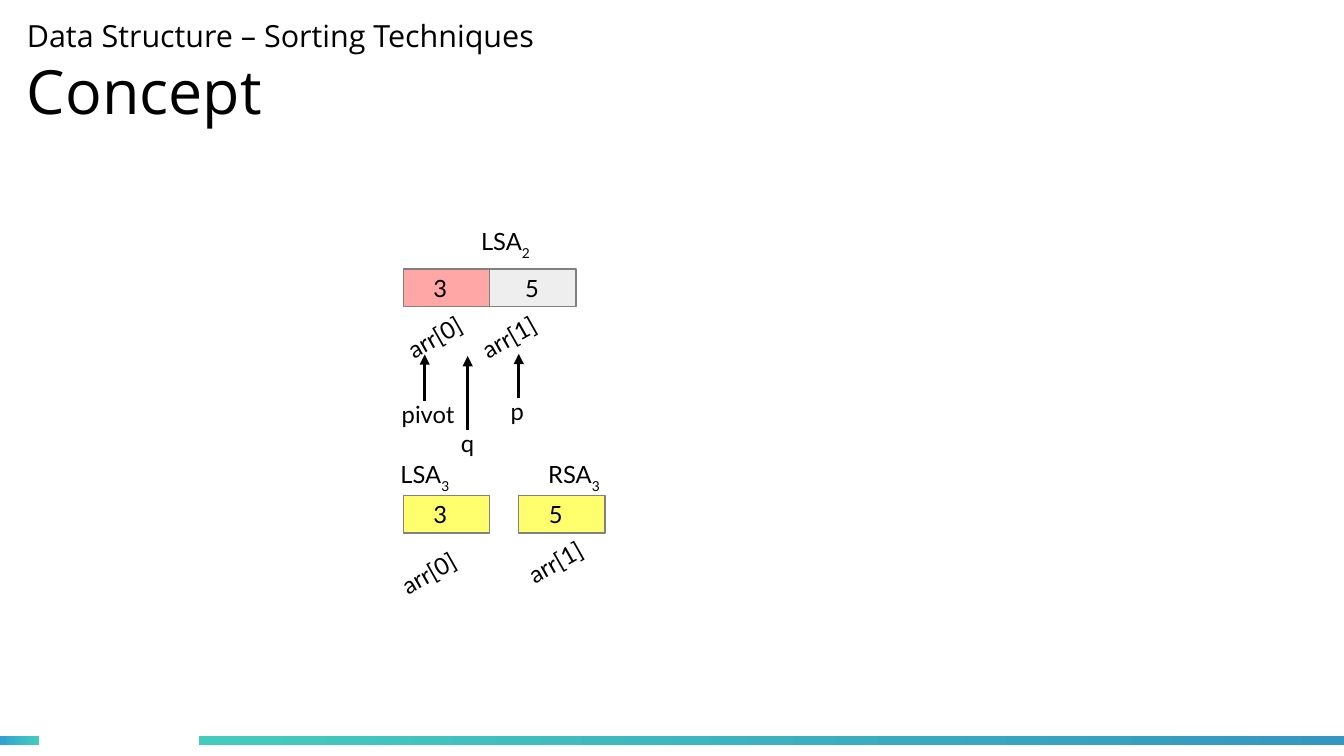
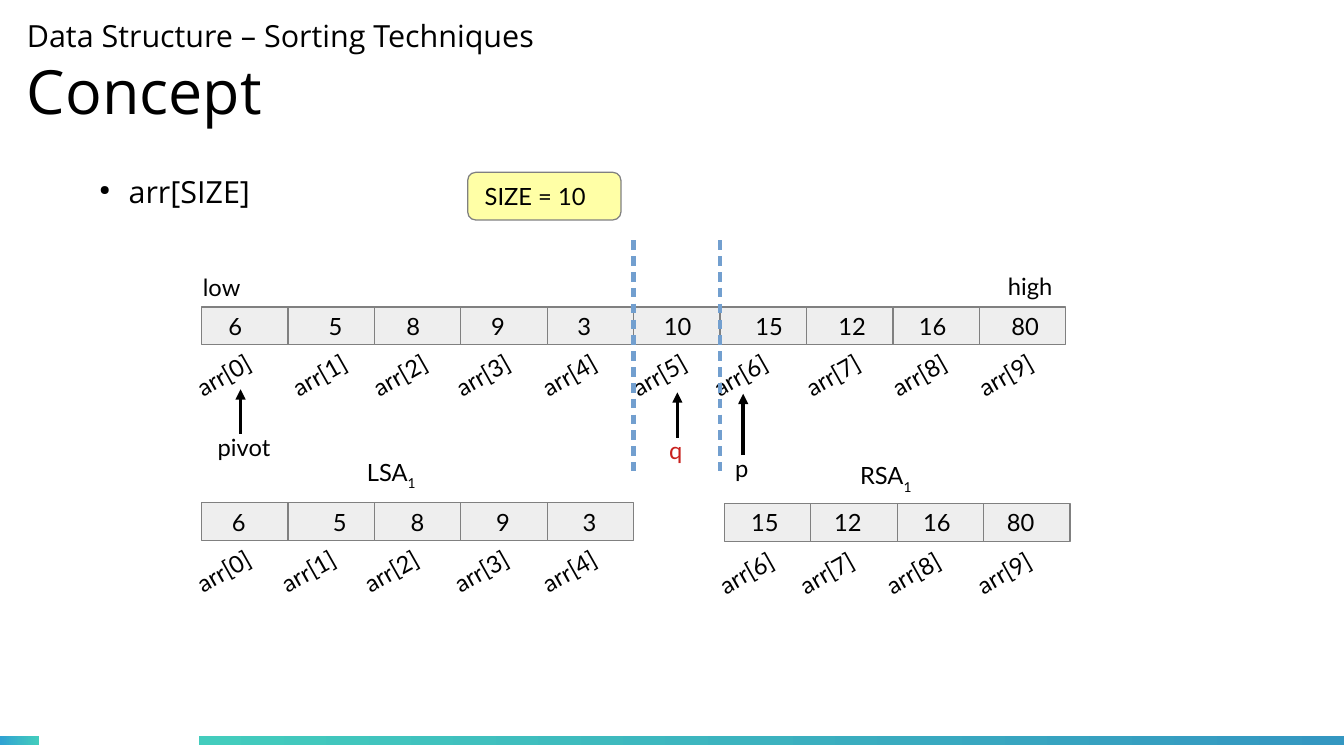
from lxml.etree import SubElement
from pptx import Presentation
from pptx.dml.color import RGBColor
from pptx.enum.shapes import MSO_CONNECTOR as Connector, MSO_SHAPE as Shape
from pptx.enum.text import MSO_ANCHOR as Anchor
from pptx.oxml.ns import qn
from pptx.util import Inches, Pt

BLACK = RGBColor(0x00, 0x00, 0x00)
RED = RGBColor(0xC9, 0x21, 0x1E)
GREY_LINE = RGBColor(0x80, 0x80, 0x80)
GREY = RGBColor(0xEE, 0xEE, 0xEE)
PINK = RGBColor(0xFF, 0xA6, 0xA6)
YELLOW = RGBColor(0xFF, 0xFF, 0x6D)
PALE_YELLOW = RGBColor(0xFF, 0xFF, 0xA6)
DASH_BLUE = RGBColor(0x72, 0x9F, 0xCF)
TEAL = RGBColor(0x43, 0xCC, 0xBD)
SKY = RGBColor(0x30, 0xA2, 0xD2)
BLUE = RGBColor(0x34, 0x97, 0xC1)

presentation = Presentation()
presentation.slide_width, presentation.slide_height = Inches(11.02), Inches(6.2)

# Places are percentages of the slide; array cells form a grid of equal columns
X = presentation.slide_width / 100
Y = presentation.slide_height / 100
CELL_WIDTH, CELL_HEIGHT = 6.43, 5
INDEX_WIDTH, INDEX_HEIGHT = 7.1, 6.3
INDEX_ROTATION = 330.4

BODY = {"name": "Lato", "size": Pt(14)}
BULLET = {"name": "Open Sans", "size": Pt(18)}
HEADING = {"name": "Open Sans", "size": Pt(36)}
TEXT_BOX = {"margin_left": Inches(0.1), "margin_right": Inches(0.1),
            "margin_top": Inches(0.05), "margin_bottom": Inches(0.05),
            "vertical_anchor": Anchor.TOP, "word_wrap": True}
TIGHT = {"margin_left": 0, "margin_right": 0, "margin_top": 0, "margin_bottom": 0,
         "vertical_anchor": Anchor.MIDDLE, "word_wrap": True}


def add_box(slide, place, runs, fill=None, kind=Shape.RECTANGLE, frame=TEXT_BOX, colour=BLACK):
    """Add a box at a percentage place, holding (text, font format) runs."""
    left, top, width, height = place
    area = [int(left * X), int(top * Y), int(width * X), int(height * Y)]
    if fill is None:
        shape = slide.shapes.add_textbox(*area)
    else:
        shape = slide.shapes.add_shape(kind, *area)
        shape.shadow.inherit = False
        shape.fill.solid()
        shape.fill.fore_color.rgb = fill
        shape.line.color.rgb = GREY_LINE
        shape.line.width = Pt(0)
    for name, value in frame.items():
        setattr(shape.text_frame, name, value)
    paragraph = shape.text_frame.paragraphs[0]
    paragraph.alignment = 1
    for text, font_format in runs:
        if text == "\n":
            paragraph.add_line_break()
            continue
        run = paragraph.add_run()
        run.text = text
        run.font.color.rgb = colour
        for name, value in font_format.items():
            setattr(run.font, name, value)
    return shape


def add_line(slide, x, start, end, colour, width):
    """Add an upright line and return its a:ln element."""
    line = slide.shapes.add_connector(
        Connector.STRAIGHT, int(x * X), int(start * Y), int(x * X), int(end * Y))
    line.line.color.rgb = colour
    line.line.width = Pt(width)
    properties = line.line._get_or_add_ln()
    SubElement(properties.getparent(), qn("a:effectLst"))
    return properties


# Strip: left, top, drop of the index labels in cell heights, cells.
# Cell: index, value, value inset and index shift in cell widths, fill.
# Arrow: name, x, foot, tip, shift of the name to the left, colour.
small_arrays = {
    "strips": [
        (30, 35.6, 1.16, [(0, 3, 0.35, -0.1, PINK), (1, 5, 0.41, -0.24, GREY)]),
        (30, 65.5, 1.42, [(0, 3, 0.35, -0.17, YELLOW)]),
        (38.6, 65.5, 1.13, [(1, 5, 0.35, -0.04, YELLOW)]),
    ],
    "labels": [("LSA", "2", 34.9, 29.2), ("LSA", "3", 28.9, 60), ("RSA", "3", 39.9, 60)],
    "arrows": [
        ("pivot", 31.6, 53.1, 46.9, 2.6, BLACK),
        ("q", 34.8, 56.9, 47.1, 1.4, BLACK),
        ("p", 38.6, 52.7, 46.8, 1.5, BLACK),
    ],
}
whole_array = {
    "strips": [
        (15, 40.6, 1.16, [
            (0, 6, 0.31, -0.21, GREY), (1, 5, 0.47, -0.1, GREY),
            (2, 8, 0.37, -0.17, GREY), (3, 9, 0.35, -0.21, GREY),
            (4, 3, 0.35, -0.21, GREY), (5, 10, 0.35, -0.17, GREY),
            (6, 15, 0.41, -0.23, GREY), (7, 12, 0.37, -0.16, GREY),
            (8, 16, 0.3, -0.16, GREY), (9, 80, 0.37, -0.16, GREY)]),
        (15, 66.5, 1.16, [
            (0, 6, 0.35, -0.21, GREY), (1, 5, 0.52, -0.23, GREY),
            (2, 8, 0.42, -0.27, GREY), (3, 9, 0.41, -0.23, GREY),
            (4, 3, 0.41, -0.21, GREY)]),
        (53.9, 66.6, 1.19, [
            (6, 15, 0.31, -0.21, GREY), (7, 12, 0.27, -0.28, GREY),
            (8, 16, 0.3, -0.28, GREY), (9, 80, 0.27, -0.23, GREY)]),
    ],
    "labels": [("low", "", 14.2, 35.3), ("high", "", 74.1, 35.2),
               ("LSA", "1", 26.4, 59.7), ("RSA", "1", 63.1, 60.2)],
    "arrows": [
        ("pivot", 17.9, 57.4, 51.5, 2.6, BLACK),
        ("p", 55.3, 60.2, 52.1, 1.5, BLACK),
        ("q", 50.4, 57.9, 51.9, 1.5, RED),
    ],
}

for content in (small_arrays, whole_array):
    slide = presentation.slides.add_slide(presentation.slide_layouts[6])

    # Footer bands
    for left, width, start, end in ((0, 2.9, SKY, TEAL), (14.8, 85.2, TEAL, BLUE)):
        band = slide.shapes.add_shape(
            Shape.RECTANGLE, int(left * X), int(97.3 * Y), int(width * X), int(1.3 * Y))
        band.shadow.inherit = False
        band.line.fill.background()
        band.fill.gradient()
        band.fill.gradient_angle = 0
        for stop, colour in zip(band.fill.gradient_stops, (start, end)):
            stop.color.rgb = colour

    # Title
    add_box(slide, (2, 1.3, 69.7, 16.5),
            [("Data Structure – Sorting Techniques", BULLET), ("\n", {}), ("Concept", HEADING)],
            frame=TIGHT)

    # Array strips with slanted index labels
    for left, top, drop, cells in content["strips"]:
        for column, (index, value, inset, shift, fill) in enumerate(cells):
            x = left + column * CELL_WIDTH
            add_box(slide, (x, top, CELL_WIDTH, CELL_HEIGHT), [(str(value), BODY)], fill,
                    frame=TIGHT | {"margin_left": int(inset * CELL_WIDTH * X)})
            label = add_box(slide, (x + shift * CELL_WIDTH, top + drop * CELL_HEIGHT,
                                    INDEX_WIDTH, INDEX_HEIGHT), [(f"arr[{index}]", BODY)])
            label.rotation = INDEX_ROTATION

    # Labels with an optional subscript
    for text, subscript, left, top in content["labels"]:
        runs = [(part, BODY) for part in (text, subscript) if part]
        label = add_box(slide, (left, top, 7.5, 6.4), runs)
        for run in label.text_frame.paragraphs[0].runs[1:]:
            run._r.get_or_add_rPr().set("baseline", "-33000")

    # Named pointer arrows
    for name, x, foot, tip, shift, colour in content["arrows"]:
        line = add_line(slide, x, foot, tip, BLACK, 0)
        SubElement(line, qn("a:tailEnd"), type="triangle")
        add_box(slide, (x - shift, foot - 1, 6.3, 5.8), [(name, BODY)], colour=colour)

# Bullet and size note on the second slide
bullet = add_box(slide, (6.5, 22.1, 18, 7.1), [("arr[SIZE]", BULLET)])
indents = bullet.text_frame.paragraphs[0]._p.get_or_add_pPr()
indents.set("marL", str(Inches(0.24)))
indents.set("indent", str(-Inches(0.24)))
SubElement(SubElement(indents, qn("a:buClr")), qn("a:srgbClr"), val=str(BLACK))
SubElement(indents, qn("a:buSzPct"), val="45000")
SubElement(indents, qn("a:buChar"), char="●")
add_box(slide, (34.8, 22.8, 11.4, 6.3), [("SIZE = 10", BODY)], PALE_YELLOW,
        Shape.ROUNDED_RECTANGLE, TIGHT | {"margin_left": Inches(0.12)})

# Dashed dividers on both sides of the pivot's final cell
for column in (5, 6):
    line = add_line(slide, 15 + column * CELL_WIDTH, 31.8, 62.3, DASH_BLUE, 2.83)
    SubElement(SubElement(line, qn("a:custDash")), qn("a:ds"), d="200000", sp="130000")

presentation.save("out.pptx")
